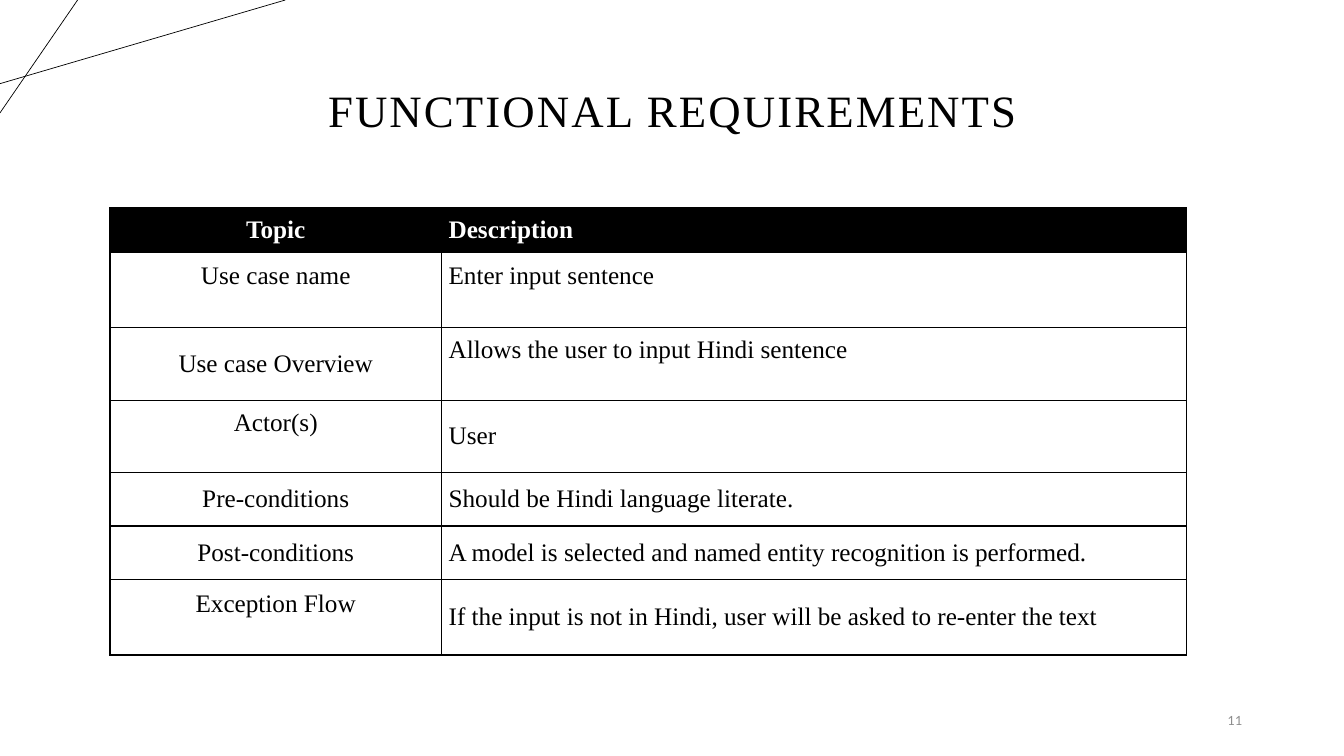
"""Build the functional requirements slide with its use case table."""
from dataclasses import dataclass

from lxml.etree import SubElement
from pptx import Presentation
from pptx.dml.color import RGBColor
from pptx.enum.shapes import MSO_CONNECTOR
from pptx.enum.text import MSO_ANCHOR, MSO_AUTO_SIZE, PP_ALIGN
from pptx.oxml.ns import qn
from pptx.util import Inches, Pt

BLACK = RGBColor(0x00, 0x00, 0x00)
WHITE = RGBColor(0xFF, 0xFF, 0xFF)
GREY = RGBColor(0x8C, 0x8C, 0x8C)
SERIF = "Times New Roman"
SANS = "Lato"
CELL_INSET = 0.07
RAISED_INSET = 0.34
COLUMN_WIDTHS = (3.29, 7.39)
TABLE_LEFT, TABLE_TOP = 1.09, 2.06


@dataclass(frozen=True)
class CornerLine:
    start: tuple[float, float]
    end: tuple[float, float]


@dataclass(frozen=True)
class TableRow:
    topic: str
    description: str
    height: float
    topic_raised: bool = False
    description_raised: bool = False


CORNER_LINES = (
    CornerLine((0, 0.83), (2.83, 0)),
    CornerLine((0.77, 0), (0, 1.12)),
)
ROWS = (
    TableRow("Topic", "Description", 0.42),
    TableRow("Use case name", "Enter input sentence", 0.75, True, True),
    TableRow("Use case Overview", "Allows the user to input Hindi sentence", 0.72, False, True),
    TableRow("Actor(s)", "User", 0.72, True),
    TableRow("Pre-conditions", "Should be Hindi language literate.", 0.53),
    TableRow("Post-conditions", "A model is selected and named entity recognition is performed.", 0.53),
    TableRow("Exception Flow", "If the input is not in Hindi, user will be asked to re-enter the text", 0.75, True),
)


def write_text(text_frame, text: str, *, size: float, font: str = SERIF,
               color: RGBColor = BLACK, bold: bool = False,
               align: PP_ALIGN = PP_ALIGN.LEFT, line_spacing: float = 1.0,
               letter_spacing: float = 0) -> None:
    """Write one formatted paragraph."""
    paragraph = text_frame.paragraphs[0]
    paragraph.alignment = align
    paragraph.line_spacing = line_spacing
    run = paragraph.add_run()
    run.text = text
    run.font.name = font
    run.font.size = Pt(size)
    run.font.bold = bold
    run.font.color.rgb = color
    if letter_spacing:
        run.font._element.set("spc", str(round(letter_spacing * 100)))


def draw_corner_line(slide, line: CornerLine) -> None:
    """Draw one thin line across the top left corner."""
    connector = slide.shapes.add_connector(
        MSO_CONNECTOR.STRAIGHT, *(Inches(value) for value in line.start + line.end))
    connector.line.color.rgb = BLACK
    connector.line.width = Pt(0.5)
    SubElement(connector._element.spPr, qn("a:effectLst"))


def draw_title(slide) -> None:
    """Place and format the title placeholder."""
    title = slide.shapes.title
    title.left, title.top = Inches(0.92), Inches(0.4)
    title.width, title.height = Inches(11.5), Inches(1.45)
    title.text_frame.auto_size = MSO_AUTO_SIZE.NONE
    title.text_frame.vertical_anchor = MSO_ANCHOR.MIDDLE
    write_text(title.text_frame, "FUNCTIONAL REQUIREMENTS", size=32,
               align=PP_ALIGN.CENTER, line_spacing=0.9, letter_spacing=1.5)


def draw_page_number(slide) -> None:
    """Add the page number at the bottom right."""
    text_box = slide.shapes.add_textbox(Inches(9.42), Inches(6.95), Inches(3), Inches(0.4))
    text_box.text_frame.word_wrap = True
    text_box.text_frame.vertical_anchor = MSO_ANCHOR.MIDDLE
    write_text(text_box.text_frame, "11", size=9, font=SANS, color=GREY, align=PP_ALIGN.RIGHT)


def add_borders(cell) -> None:
    """Give a cell a black line on each side."""
    properties = cell._tc.get_or_add_tcPr()
    for position, side in enumerate(("a:lnL", "a:lnR", "a:lnT", "a:lnB")):
        border = SubElement(properties, qn(side), w=str(Pt(1)))
        fill = SubElement(border, qn("a:solidFill"))
        SubElement(fill, qn("a:srgbClr"), val=str(BLACK))
        properties.insert(position, border)


def format_cell(cell, text: str, *, header: bool, raised: bool, align: PP_ALIGN) -> None:
    """Fill one table cell with its text, colours and borders."""
    cell.fill.solid()
    cell.fill.fore_color.rgb = BLACK if header else WHITE
    cell.vertical_anchor = MSO_ANCHOR.MIDDLE
    cell.margin_left = cell.margin_right = cell.margin_top = Inches(CELL_INSET)
    cell.margin_bottom = Inches(RAISED_INSET if raised else CELL_INSET)
    write_text(cell.text_frame, text, size=18, bold=header,
               color=WHITE if header else BLACK, align=align)
    add_borders(cell)


def draw_table(slide) -> None:
    """Add the use case table."""
    frame = slide.shapes.add_table(
        len(ROWS), len(COLUMN_WIDTHS), Inches(TABLE_LEFT), Inches(TABLE_TOP),
        Inches(sum(COLUMN_WIDTHS)), Inches(sum(row.height for row in ROWS)))
    table = frame.table
    for column, width in zip(table.columns, COLUMN_WIDTHS):
        column.width = Inches(width)
    for index, row in enumerate(ROWS):
        table.rows[index].height = Inches(row.height)
        format_cell(table.cell(index, 0), row.topic, header=index == 0,
                    raised=row.topic_raised, align=PP_ALIGN.CENTER)
        format_cell(table.cell(index, 1), row.description, header=index == 0,
                    raised=row.description_raised, align=PP_ALIGN.LEFT)


def main() -> None:
    """Build and save the presentation."""
    presentation = Presentation()
    presentation.slide_width = Inches(13.33)
    presentation.slide_height = Inches(7.5)
    slide = presentation.slides.add_slide(presentation.slide_layouts.get_by_name("Title Only"))
    slide.background.fill.solid()
    slide.background.fill.fore_color.rgb = WHITE
    for line in CORNER_LINES:
        draw_corner_line(slide, line)
    draw_title(slide)
    draw_page_number(slide)
    draw_table(slide)
    presentation.save("out.pptx")


if __name__ == "__main__":
    main()
